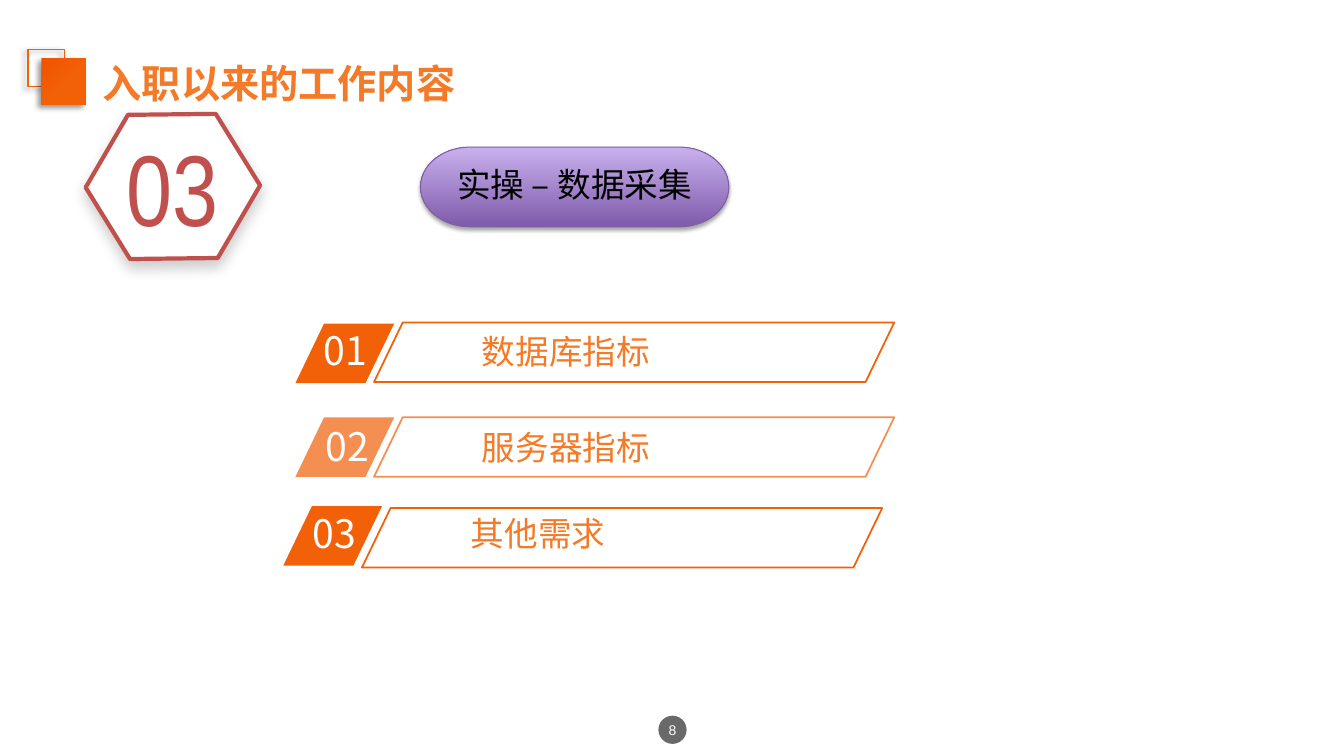
import pptx
import pptx.dml.color
import pptx.enum.shapes
import pptx.enum.text
import pptx.oxml
import pptx.oxml.ns
import pptx.util

Inches = pptx.util.Inches
Pt = pptx.util.Pt
SHAPE = pptx.enum.shapes.MSO_SHAPE
ALIGN = pptx.enum.text.PP_ALIGN
ANCHOR = pptx.enum.text.MSO_ANCHOR
COLORS = {
    "orange": "F26008", "deep_orange": "F05500", "text_orange": "F57A27",
    "purple": "7F5BAB", "lilac": "C8B0ED", "purple_line": "7D60A0",
    "red": "C0504D", "white": "FFFFFF", "black": "000000", "gray": "696969",
}
CJK = "Noto Sans CJK SC"


def rgb(name):
    return pptx.dml.color.RGBColor.from_string(COLORS[name])


class SlideBuilder:
    def __init__(self, slide):
        self.slide = slide

    def text(self, sp, text, size, color, font=CJK, bold=False,
             align=ALIGN.LEFT, anchor=ANCHOR.TOP, insets=(0.1, 0.05, 0.1, 0.05)):
        tf = sp.text_frame
        tf.word_wrap = True
        tf.vertical_anchor = anchor
        tf.margin_left, tf.margin_top, tf.margin_right, tf.margin_bottom = map(Inches, insets)
        tf.text = text
        p = tf.paragraphs[0]
        p.alignment = align
        r = p.runs[0]
        r.font.size, r.font.bold, r.font.name = Pt(size), bold, font
        r.font.color.rgb = rgb(color)
        ea = pptx.oxml.parse_xml(
            f'<a:ea {pptx.oxml.ns.nsdecls("a")} typeface="{font}"/>')
        r.font._element.append(ea)

    def title(self, box, text, size, color):
        sp = self.slide.shapes.title
        sp.left, sp.top, sp.width, sp.height = map(Inches, box)
        self.text(sp, text, size, color, bold=True)
        sp.text_frame.auto_size = pptx.enum.text.MSO_AUTO_SIZE.SHAPE_TO_FIT_TEXT

    def textbox(self, box, text, size, color, **kw):
        sp = self.slide.shapes.add_textbox(*map(Inches, box))
        self.text(sp, text, size, color, **kw)
        sp.text_frame.auto_size = pptx.enum.text.MSO_AUTO_SIZE.SHAPE_TO_FIT_TEXT

    def shape(self, kind, box, adjust=None, **look):
        sp = self.slide.shapes.add_shape(kind, *map(Inches, box))
        if adjust is not None:
            sp.adjustments[0] = adjust
        self.style(sp, **look)
        return sp

    def polygon(self, points, **look):
        pts = [(Inches(x), Inches(y)) for x, y in points]
        builder = self.slide.shapes.build_freeform(*pts[0])
        builder.add_line_segments(pts[1:], close=True)
        sp = builder.convert_to_shape()
        self.style(sp, **look)
        return sp

    def style(self, sp, fill=None, gradient=None, line=None, alpha=None, shadow=None):
        """gradient: (angle, stops); line: (color, points); shadow: (alpha, blur, distance, angle)."""
        if gradient:
            angle, stops = gradient
            sp.fill.gradient()
            sp.fill.gradient_angle = angle
            for stop, (position, color) in zip(sp.fill.gradient_stops, stops):
                stop.position = position
                stop.color.rgb = rgb(color)
        elif fill:
            sp.fill.solid()
            sp.fill.fore_color.rgb = rgb(fill)
        else:
            sp.fill.background()
        if line:
            sp.line.color.rgb = rgb(line[0])
            sp.line.width = Pt(line[1])
        else:
            sp.line.fill.background()
        ns = pptx.oxml.ns.nsdecls("a")
        sppr = sp._element.spPr
        if alpha:
            for clr in sppr.iter(pptx.oxml.ns.qn("a:srgbClr")):
                clr.append(pptx.oxml.parse_xml(f'<a:alpha {ns} val="{alpha * 1000}"/>'))
        sp.shadow.inherit = False
        if shadow:
            opacity, blur, distance, angle = shadow
            sppr.find(pptx.oxml.ns.qn("a:effectLst")).append(pptx.oxml.parse_xml(
                f'<a:outerShdw {ns} blurRad="{Pt(blur)}" dist="{Pt(distance)}" '
                f'dir="{angle * 60000}" rotWithShape="0"><a:srgbClr val="{COLORS["black"]}">'
                f'<a:alpha val="{opacity * 1000}"/></a:srgbClr></a:outerShdw>'))

    def list_row(self, number, label, left, tile_top, number_box, label_box, frame_top, alpha):
        """Numbered slanted tile beside an outlined slanted frame with its label."""
        slant = 0.482
        self.shape(SHAPE.PARALLELOGRAM, (left, tile_top, 0.98, 0.59), slant,
                   fill="orange", alpha=alpha)
        self.textbox((*number_box, 0.84, 0.59), number, 28, "white")
        self.textbox((*label_box, 3.78, 0.48), label, 24, "text_orange",
                     insets=(0.37, 0.04, 0.07, 0.04))
        self.shape(SHAPE.PARALLELOGRAM, (left + 0.78, frame_top, 5.16, 0.59), slant,
                   line=("orange", 1.25), alpha=alpha)


def main():
    prs = pptx.Presentation()
    prs.slide_width, prs.slide_height = Inches(13.33), Inches(7.5)
    s = SlideBuilder(prs.slides.add_slide(prs.slide_layouts[5]))

    page = s.shape(SHAPE.OVAL, (6.53, 7.1, 0.28, 0.28), fill="gray")
    s.text(page, "8", 10, "white", font="Arial", align=ALIGN.CENTER,
           anchor=ANCHOR.MIDDLE, insets=(0, 0, 0, 0))

    corner_shadow = (40, 4, 3, 135)
    s.shape(SHAPE.RECTANGLE, (0.28, 0.49, 0.36, 0.37), line=("orange", 1),
            shadow=corner_shadow)
    s.shape(SHAPE.RECTANGLE, (0.41, 0.58, 0.44, 0.46), shadow=corner_shadow,
            gradient=(315, [(0.03, "deep_orange"), (0.59, "orange")]))
    s.title((0.92, 0.54, 7.19, 0.57), "入职以来的工作内容", 28, "text_orange")

    topic = s.shape(SHAPE.FLOWCHART_TERMINATOR, (4.17, 1.46, 3.06, 0.79),
                    gradient=(90, [(0, "purple"), (1, "lilac")]),
                    line=("purple_line", 0.75), shadow=(35, 3.1, 1.8, 90))
    s.text(topic, "实操 – 数据采集", 24, "black", align=ALIGN.CENTER)

    hexagon = s.polygon(
        [(0.85, 1.86), (1.27, 1.14), (2.14, 1.13), (2.58, 1.84), (2.16, 2.56), (1.29, 2.57)],
        fill="white", line=("red", 3), shadow=(20, 10, 5, 90))
    s.text(hexagon, "03", 72, "red", font="Arial Narrow", align=ALIGN.CENTER,
           anchor=ANCHOR.MIDDLE)

    rows = [
        ("01", "数据库指标", 2.93, 3.21, (3.11, 3.19), (4.41, 3.24), 3.2, None),
        ("02", "服务器指标", 2.93, 4.14, (3.13, 4.14), (4.41, 4.2), 4.14, 70),
        ("03", "其他需求", 2.81, 5.02, (3, 5), (4.3, 5.05), 5.04, None),
    ]
    for row in rows:
        s.list_row(*row)
    prs.save("out.pptx")


if __name__ == "__main__":
    main()
